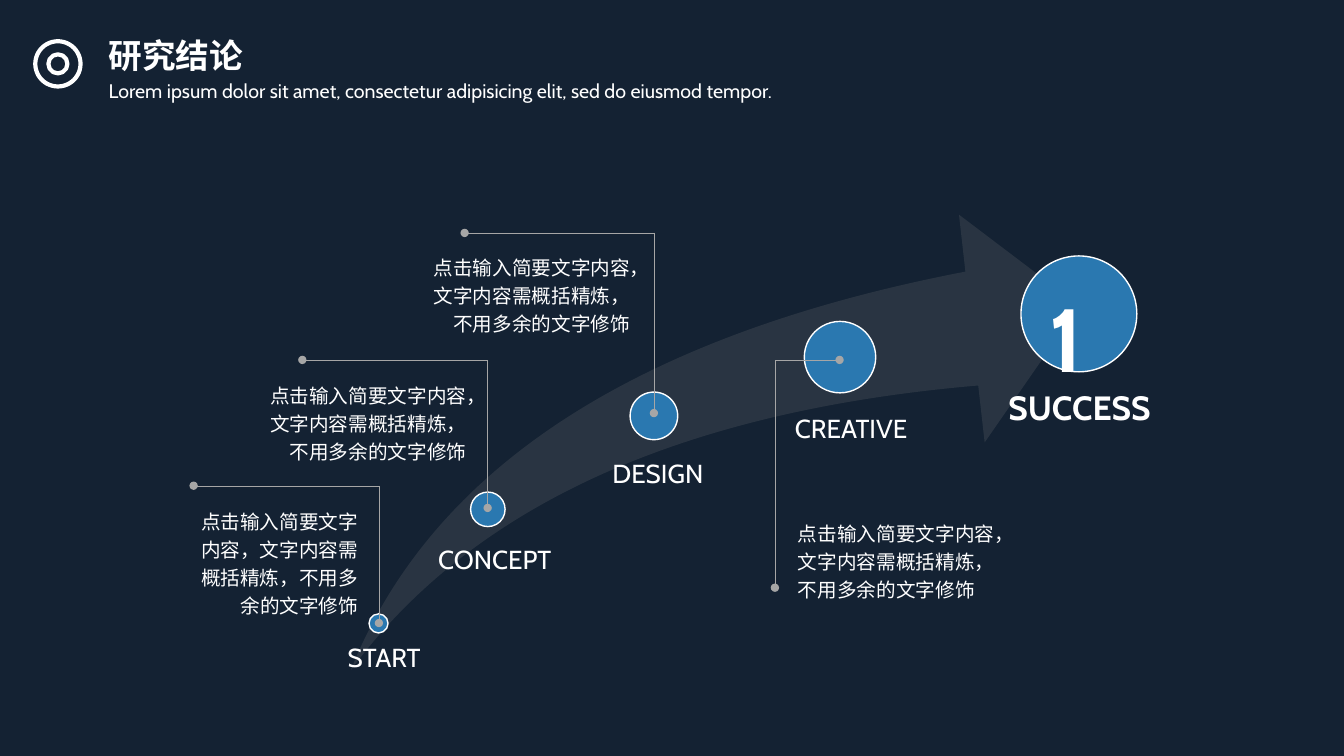
import pptx
import pptx.dml.color
import pptx.enum.dml
import pptx.enum.shapes
import pptx.enum.text
import pptx.oxml
import pptx.oxml.ns
import pptx.util

Cm = pptx.util.Cm
Pt = pptx.util.Pt
SHAPES = pptx.enum.shapes.MSO_SHAPE
ALIGN = pptx.enum.text.PP_ALIGN
NAVY, BLUE, WHITE, GRAY, SWOOSH = "142233", "2A78B0", "FFFFFF", "A6A6A6", "808080"


def color(hex_string):
    return pptx.dml.color.RGBColor.from_string(hex_string)


def add_element(parent, tag, **attributes):
    child = parent.makeelement(pptx.oxml.ns.qn(tag), attributes)
    parent.append(child)
    return child


class SlideBuilder:
    font = "Cabin"
    line_spacing = 1.2

    def __init__(self, slide):
        self.slide = slide
        slide.background.fill.solid()
        slide.background.fill.fore_color.rgb = color(NAVY)

    def swoosh(self, left, top, width, height):
        arrow = self.slide.shapes.add_shape(
            SHAPES.SWOOSH_ARROW, Cm(left), Cm(top), Cm(width), Cm(height))
        arrow.shadow.inherit = False
        arrow.adjustments[0] = arrow.adjustments[1] = 0.25
        arrow.fill.solid()
        arrow.fill.fore_color.rgb = color(SWOOSH)
        arrow.line.fill.background()
        tint = arrow.fill._xPr.find(".//" + pptx.oxml.ns.qn("a:srgbClr"))
        add_element(tint, "a:alpha", val="20000")

    def circle(self, left, top, size, fill=None, weight=1):
        disc = self.slide.shapes.add_shape(
            SHAPES.OVAL, Cm(left), Cm(top), Cm(size), Cm(size))
        disc.shadow.inherit = False
        if fill:
            disc.fill.solid()
            disc.fill.fore_color.rgb = color(fill)
        else:
            disc.fill.background()
        disc.line.color.rgb = color(WHITE)
        disc.line.width = Pt(weight)

    def text(self, words, box, size, bold=False, align=ALIGN.LEFT, inset=None):
        """With an inset, the box keeps its height and pads only the left side."""
        frame = self.slide.shapes.add_textbox(*map(Cm, box)).text_frame
        frame.word_wrap = True
        if inset is None:
            frame.auto_size = pptx.enum.text.MSO_AUTO_SIZE.SHAPE_TO_FIT_TEXT
        else:
            frame.margin_left = Cm(inset)
            frame.margin_top = frame.margin_right = frame.margin_bottom = 0
        frame.text = words
        paragraph = frame.paragraphs[0]
        paragraph.alignment = align
        paragraph.line_spacing = self.line_spacing
        font = paragraph.runs[0].font
        font.name, font.size, font.bold = self.font, Pt(size), bold
        font.color.rgb = color(WHITE)

    def leader(self, start, end):
        """Dotted elbow: across from start, then down to end."""
        elbow = self.slide.shapes.add_connector(
            pptx.enum.shapes.MSO_CONNECTOR.ELBOW, *map(Cm, start + end))
        elbow.line.color.rgb = color(GRAY)
        elbow.line.width = Pt(0.25)
        elbow.line.dash_style = pptx.enum.dml.MSO_LINE.ROUND_DOT
        properties = elbow._element.spPr
        geometry = properties.find(pptx.oxml.ns.qn("a:prstGeom"))
        guides = geometry.find(pptx.oxml.ns.qn("a:avLst"))
        if guides is None:
            guides = add_element(geometry, "a:avLst")
        add_element(guides, "a:gd", name="adj1", fmla="val 100000")
        outline = properties.find(pptx.oxml.ns.qn("a:ln"))
        for tip in ("a:headEnd", "a:tailEnd"):
            add_element(outline, tip, type="oval")
        add_element(properties, "a:effectLst")


# Milestones: name, circle (left, top, size), label box, left inset, label size, bold
MILESTONES = [
    ("START", (9.3, 15.47, 0.48), (7.42, 16, 4.27, 1.32), 0.25, 18.6, False),
    ("CONCEPT", (11.86, 12.4, 0.87), (10.03, 13.54, 4.42, 1.55), 0.46, 18.6, False),
    ("DESIGN", (15.88, 9.88, 1.2), (14.05, 11.38, 4.42, 1.85), 0.64, 18.6, False),
    ("CREATIVE", (20.27, 8.1, 1.8), (18.92, 10.24, 4.42, 1.85), 0.64, 18.6, False),
    ("SUCCESS", (25.73, 6.45, 2.92), (24.13, 9.55, 5.51, 1.85), 0.64, 24, True),
]

# Notes: leader start, leader end, text box, alignment
NOTE = "点击输入简要文字内容，文字内容需概括精炼，不用多余的文字修饰"
NOTES = [
    ((4.88, 12.24), (9.55, 15.7), (4.45, 12.6, 4.83, 3.12), ALIGN.RIGHT),
    ((7.62, 9.07), (12.29, 12.8), (6.4, 9.42, 5.61, 3.07), ALIGN.RIGHT),
    ((11.71, 5.87), (16.48, 10.41), (10.44, 6.2, 5.69, 3.12), ALIGN.RIGHT),
    ((21.16, 9.07), (19.53, 14.81), (19.86, 12.9, 5.89, 2.41), ALIGN.LEFT),
]


def main():
    deck = pptx.Presentation()
    deck.slide_width, deck.slide_height = Cm(33.87), Cm(19.05)
    builder = SlideBuilder(deck.slides.add_slide(deck.slide_layouts[6]))

    # Growth path
    builder.swoosh(8.84, 5.41, 18.36, 11.48)
    for name, circle, label_box, inset, size, bold in MILESTONES:
        builder.circle(*circle, fill=BLUE)
        builder.text(name, label_box, size, bold, ALIGN.CENTER, inset)
    builder.text("1", (26.19, 6.45, 1.6, 3.53), 64, bold=True)

    # Notes with their leaders
    for start, end, note_box, align in NOTES:
        builder.leader(start, end)
        builder.text(NOTE, note_box, 14, align=align)

    # Heading with ring icon
    builder.text("研究结论", (2.49, 0.56, 7.37, 1.37), 24, bold=True)
    builder.text(
        "Lorem ipsum dolor sit amet, consectetur adipisicing elit, sed do eiusmod tempor.",
        (2.49, 1.75, 19.94, 0.91), 14)
    builder.circle(0.89, 1.04, 1.14, weight=3)
    builder.circle(1.22, 1.37, 0.48, weight=3)

    deck.save("out.pptx")


if __name__ == "__main__":
    main()
